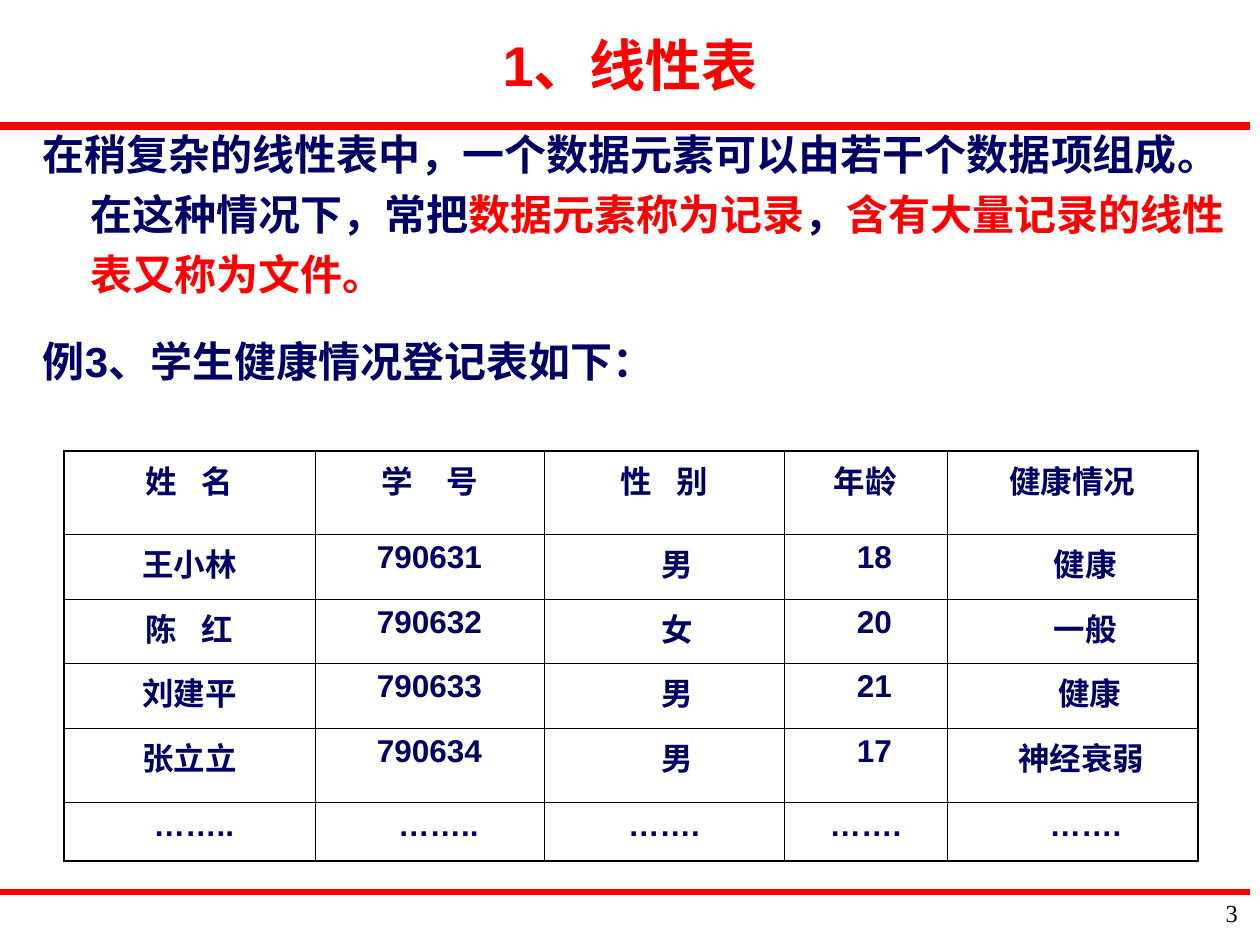
from lxml import etree
from pptx import Presentation
from pptx.dml.color import RGBColor
from pptx.enum.shapes import MSO_CONNECTOR
from pptx.enum.text import MSO_ANCHOR, PP_ALIGN
from pptx.oxml.ns import qn
from pptx.util import Pt

PX = 914400 // 126
NAVY, RED, BLACK, INK = "000066", "FF0000", "000000", "010000"
HEADERS = ["姓 名", "学 号", "性 别", "年龄", "健康情况"]
STUDENTS = [
    ["王小林", "790631", "男", "18", "健康"],
    ["陈 红", "790632", "女", "20", "一般"],
    ["刘建平", "790633", "男", "21", "健康"],
    ["张立立", "790634", "男", "17", "神经衰弱"],
    ["……..", "……..", "…….", "…….", "……."],
]
COLUMN_WIDTHS = [251, 229, 240, 163, 251]
ROW_HEIGHTS = [83, 65, 64, 65, 74, 59]
# Left indents that push the centred entries to the right
ROW_INDENTS = [
    [0, 0, 0, 0, 0],
    [0, 0, 26, 18, 26],
    [0, 0, 26, 18, 26],
    [0, 0, 26, 18, 35],
    [0, 0, 26, 18, 18],
    [9, 18, 0, 0, 26],
]


def px(*lengths):
    return [length * PX for length in lengths]


def color(hex_code):
    return RGBColor.from_string(hex_code)


def write(paragraph, text, size=18, hex_code=NAVY, font="Arial", bold=True,
          align=None, left=0, hanging=0, line_spacing=None, before=None,
          tracking=0):
    """Add one run to the paragraph and set the paragraph's layout."""
    run = paragraph.add_run()
    run.text = text
    run.font.size, run.font.name, run.font.bold = Pt(size), font, bold
    run.font.color.rgb = color(hex_code)
    if tracking:
        run.font._element.set("spc", str(tracking * 100))
    if align is not None:
        paragraph.alignment = align
    if line_spacing:
        paragraph.line_spacing = line_spacing
    if before:
        paragraph.space_before = Pt(before)
    if left:
        properties = paragraph._p.get_or_add_pPr()
        properties.set("marL", str(left * PX))
        properties.set("indent", str(-hanging * PX))


def add_frame(slide, box, side=11, anchor=MSO_ANCHOR.TOP):
    frame = slide.shapes.add_textbox(*px(*box)).text_frame
    frame.word_wrap = True
    frame.vertical_anchor = anchor
    frame.margin_left = frame.margin_right = side * PX
    frame.margin_top = frame.margin_bottom = 6 * PX
    return frame


def add_rule(slide, left, top, width, weight):
    rule = slide.shapes.add_connector(
        MSO_CONNECTOR.STRAIGHT, *px(left, top, left + width, top))
    rule.line.color.rgb = color(RED)
    rule.line.width = Pt(weight)
    etree.SubElement(rule._element.spPr, qn("a:effectLst"))


def add_title(slide, box):
    frame = add_frame(slide, box, anchor=MSO_ANCHOR.MIDDLE)
    write(frame.paragraphs[0], "1、线性表", size=32, hex_code=RED,
          align=PP_ALIGN.CENTER, line_spacing=0.9)


def add_explanation(slide, box):
    frame = add_frame(slide, box)
    layout = dict(size=24, left=48, hanging=48, line_spacing=1.2)
    definition = frame.paragraphs[0]
    for text, hex_code in [
        ("在稍复杂的线性表中，一个数据元素可以由若干个数据项组成。"
         "在这种情况下，常把", NAVY),
        ("数据元素称为记录", RED),
        ("，", NAVY),
        ("含有大量记录的线性表又称为文件。", RED),
    ]:
        write(definition, text, hex_code=hex_code, **layout)
    write(frame.add_paragraph(), "例3、学生健康情况登记表如下：",
          before=15, **layout)


def set_borders(cell, weights):
    properties = cell._tc.get_or_add_tcPr()
    for position, (side, weight) in enumerate(weights.items()):
        border = etree.Element(qn(f"a:ln{side}"), w=str(Pt(weight)))
        fill = etree.SubElement(border, qn("a:solidFill"))
        etree.SubElement(fill, qn("a:srgbClr"), val=BLACK)
        properties.insert(position, border)


def write_entry(cell, text, indent, gap):
    paragraph = cell.text_frame.paragraphs[0]
    before_gap, space, after_gap = text.partition(" ")
    for part, tracking in [(before_gap, 0), (space, gap), (after_gap, 0)]:
        if part:
            write(paragraph, part, align=PP_ALIGN.CENTER, left=indent,
                  tracking=tracking)


def add_health_table(slide, left, top):
    rows = [HEADERS] + STUDENTS
    last_row, last_column = len(rows) - 1, len(HEADERS) - 1
    table = slide.shapes.add_table(
        len(rows), len(HEADERS),
        *px(left, top, sum(COLUMN_WIDTHS), sum(ROW_HEIGHTS))).table
    table.first_row = table.horz_banding = False
    for column, width in zip(table.columns, COLUMN_WIDTHS):
        column.width = width * PX
    for row, height in zip(table.rows, ROW_HEIGHTS):
        row.height = height * PX
    for r, entries in enumerate(rows):
        for c, entry in enumerate(entries):
            cell = table.cell(r, c)
            cell.fill.background()
            cell.margin_left = cell.margin_right = 13 * PX
            cell.margin_top = cell.margin_bottom = 6 * PX
            write_entry(cell, entry, ROW_INDENTS[r][c],
                        gap=15 if entry == "学 号" else 10)
            outer = {"L": c == 0, "R": c == last_column,
                     "T": r == 0, "B": r == last_row}
            set_borders(cell, {side: 1.08 if edge else 0.45
                               for side, edge in outer.items()})


def add_page_number(slide, box):
    write(add_frame(slide, box, side=13).paragraphs[0], "3", size=14,
          hex_code=INK, font="Times New Roman", bold=False,
          align=PP_ALIGN.RIGHT)


def main():
    deck = Presentation()
    deck.slide_width, deck.slide_height = px(1260, 945)
    slide = deck.slides.add_slide(deck.slide_layouts[6])

    # Page furniture
    add_page_number(slide, (1155, 892, 96, 53))
    add_rule(slide, 0, 892, 1250, weight=3)
    add_rule(slide, 0, 126, 1250, weight=4.5)

    # Content
    add_explanation(slide, (32, 112, 1228, 748))
    add_health_table(slide, 64, 451)
    add_title(slide, (95, 32, 1071, 73))

    deck.save("out.pptx")


if __name__ == "__main__":
    main()
